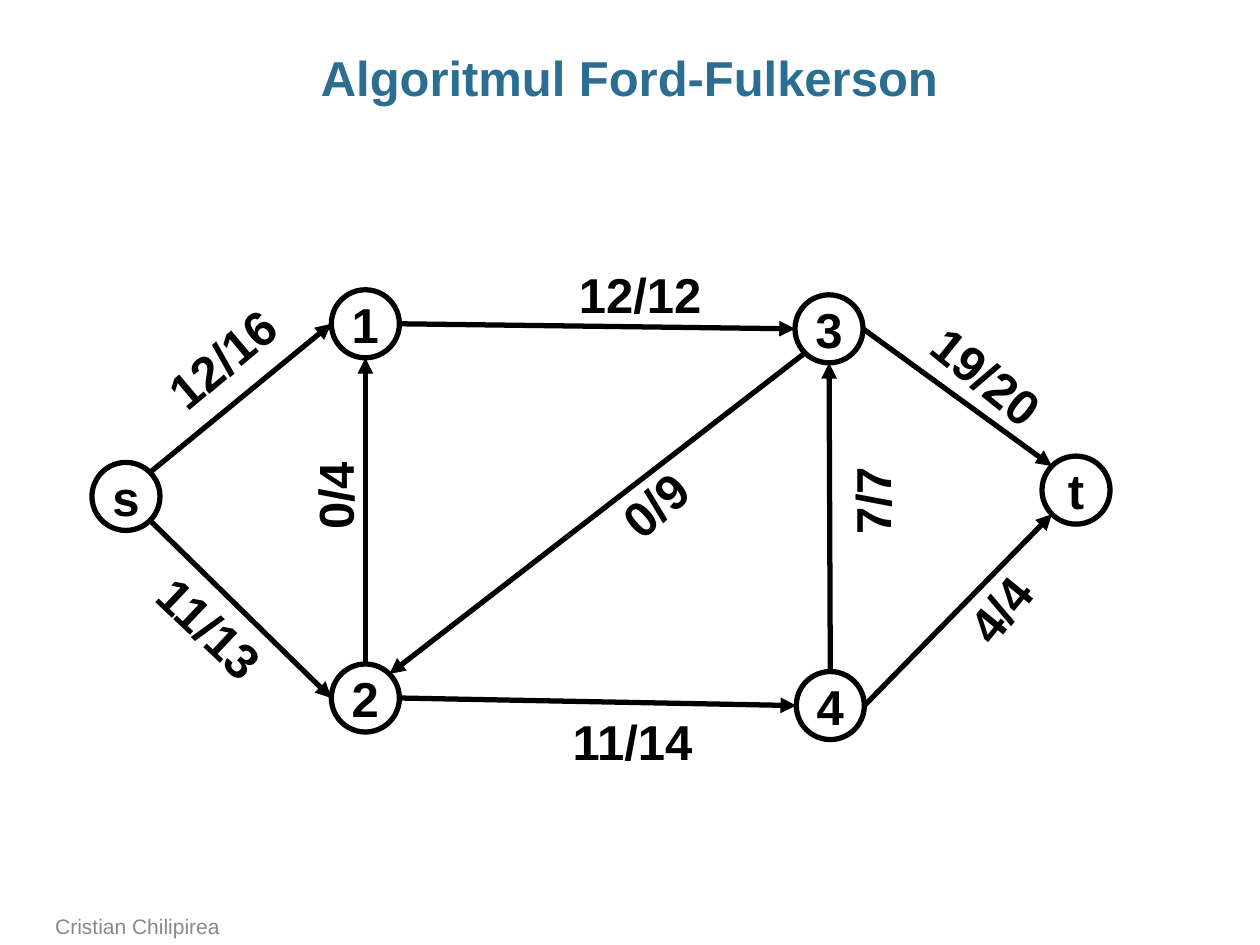
from dataclasses import dataclass
from math import cos, radians, sin

from lxml.etree import SubElement
from pptx import Presentation
from pptx.dml.color import RGBColor
from pptx.enum.shapes import MSO_CONNECTOR, MSO_SHAPE
from pptx.enum.text import MSO_ANCHOR, PP_ALIGN
from pptx.oxml.ns import qn
from pptx.util import Inches, Pt


@dataclass(frozen=True)
class Theme:
    font: str = "Arial"
    ink: RGBColor = RGBColor(0, 0, 0)
    paper: RGBColor = RGBColor(255, 255, 255)
    title: RGBColor = RGBColor(0x2C, 0x6D, 0x92)
    footer: RGBColor = RGBColor(0x89, 0x89, 0x89)
    large: Pt = Pt(28)
    small: Pt = Pt(12)
    line: Pt = Pt(3)


THEME = Theme()
NODE_SIZE = 0.54

# Left and top of each node
NODES = {
    "s": (0.73, 3.67),
    "1": (2.63, 2.3),
    "2": (2.63, 5.27),
    "3": (6.31, 2.34),
    "4": (6.32, 5.33),
    "t": (8.27, 3.62),
}

# Clockwise angles from the right-hand side of a node
ANGLES = {
    "right": 0, "bottom right": 45, "bottom": 90, "bottom left": 135,
    "left": 180, "top left": 225, "top": 270, "top right": 315,
}

EDGES = [
    ("s", "top right", "1", "left"),
    ("s", "bottom right", "2", "left"),
    ("2", "top", "1", "bottom"),
    ("2", "right", "4", "left"),
    ("1", "right", "3", "left"),
    ("4", "top", "3", "bottom"),
    ("3", "right", "t", "top left"),
    ("4", "right", "t", "bottom left"),
    ("3", "bottom left", "2", "top right"),
]

# Flow/capacity, left, top, width, rotation
LABELS = [
    ("12/16", 1.15, 2.56, 1.23, 320),
    ("11/13", 0.94, 4.7, 1.46, 43.4),
    ("0/4", 2.2, 3.65, 0.91, 270),
    ("12/12", 4.39, 2.05, 1.38, 0),
    ("11/14", 4.39, 5.6, 1.26, 0),
    ("0/9", 4.72, 3.72, 0.96, 318.3),
    ("7/7", 6.41, 3.69, 1.02, 270),
    ("19/20", 7.21, 2.7, 1.25, 38.8),
    ("4/4", 7.44, 4.55, 0.99, 309),
]
LABEL_HEIGHT = 0.57


def write_text(shape, text, color=THEME.ink, size=THEME.large, bold=True,
               alignment=PP_ALIGN.CENTER, **frame_format):
    frame = shape.text_frame
    for name, value in frame_format.items():
        setattr(frame, name, value)
    paragraph = frame.paragraphs[0]
    paragraph.text = text
    paragraph.alignment = alignment
    paragraph.font.color.rgb = color
    font_format = {"name": THEME.font, "size": size, "bold": bold}
    for name, value in font_format.items():
        setattr(paragraph.font, name, value)
    return paragraph


def add_text(slide, text, left, top, width, height, **text_format):
    box = slide.shapes.add_textbox(
        Inches(left), Inches(top), Inches(width), Inches(height))
    write_text(box, text, word_wrap=True, **text_format)
    return box


def add_title(slide, text):
    box = add_text(slide, text, 0.34, 0.36, 9.31, 0.5, color=THEME.title,
                   margin_left=0, margin_right=0)
    box.text_frame.paragraphs[0].line_spacing = 0.95


def add_node(slide, name):
    left, top = NODES[name]
    node = slide.shapes.add_shape(
        MSO_SHAPE.OVAL, Inches(left), Inches(top),
        Inches(NODE_SIZE), Inches(NODE_SIZE))
    node.shadow.inherit = False
    node.fill.solid()
    node.fill.fore_color.rgb = THEME.paper
    node.line.color.rgb = THEME.ink
    node.line.width = THEME.line
    write_text(node, name, word_wrap=False, vertical_anchor=MSO_ANCHOR.MIDDLE)


def node_point(name, side):
    """Return the point on a node's outline at the given side."""
    left, top = NODES[name]
    angle = radians(ANGLES[side])
    radius = NODE_SIZE / 2
    return (Inches(left + radius * (1 + cos(angle))),
            Inches(top + radius * (1 + sin(angle))))


def add_edge(slide, source, source_side, target, target_side):
    edge = slide.shapes.add_connector(
        MSO_CONNECTOR.STRAIGHT,
        *node_point(source, source_side), *node_point(target, target_side))
    edge.line.color.rgb = THEME.ink
    edge.line.width = THEME.line
    SubElement(edge.line._get_or_add_ln(), qn("a:tailEnd"), type="triangle")
    SubElement(edge._element.spPr, qn("a:effectLst"))


def add_label(slide, text, left, top, width, rotation):
    box = add_text(slide, text, left, top, width, LABEL_HEIGHT)
    box.rotation = rotation


def main():
    presentation = Presentation()
    presentation.slide_width = Inches(10)
    presentation.slide_height = Inches(7.5)
    slide = presentation.slides.add_slide(presentation.slide_layouts[6])

    add_text(slide, "Cristian Chilipirea", 0.34, 7.22, 7.37, 0.28,
             color=THEME.footer, size=THEME.small, bold=False,
             alignment=PP_ALIGN.LEFT, vertical_anchor=MSO_ANCHOR.BOTTOM)
    add_title(slide, "Algoritmul Ford-Fulkerson")
    for name in NODES:
        add_node(slide, name)
    for edge in EDGES:
        add_edge(slide, *edge)
    for label in LABELS:
        add_label(slide, *label)

    presentation.save("out.pptx")


if __name__ == "__main__":
    main()
